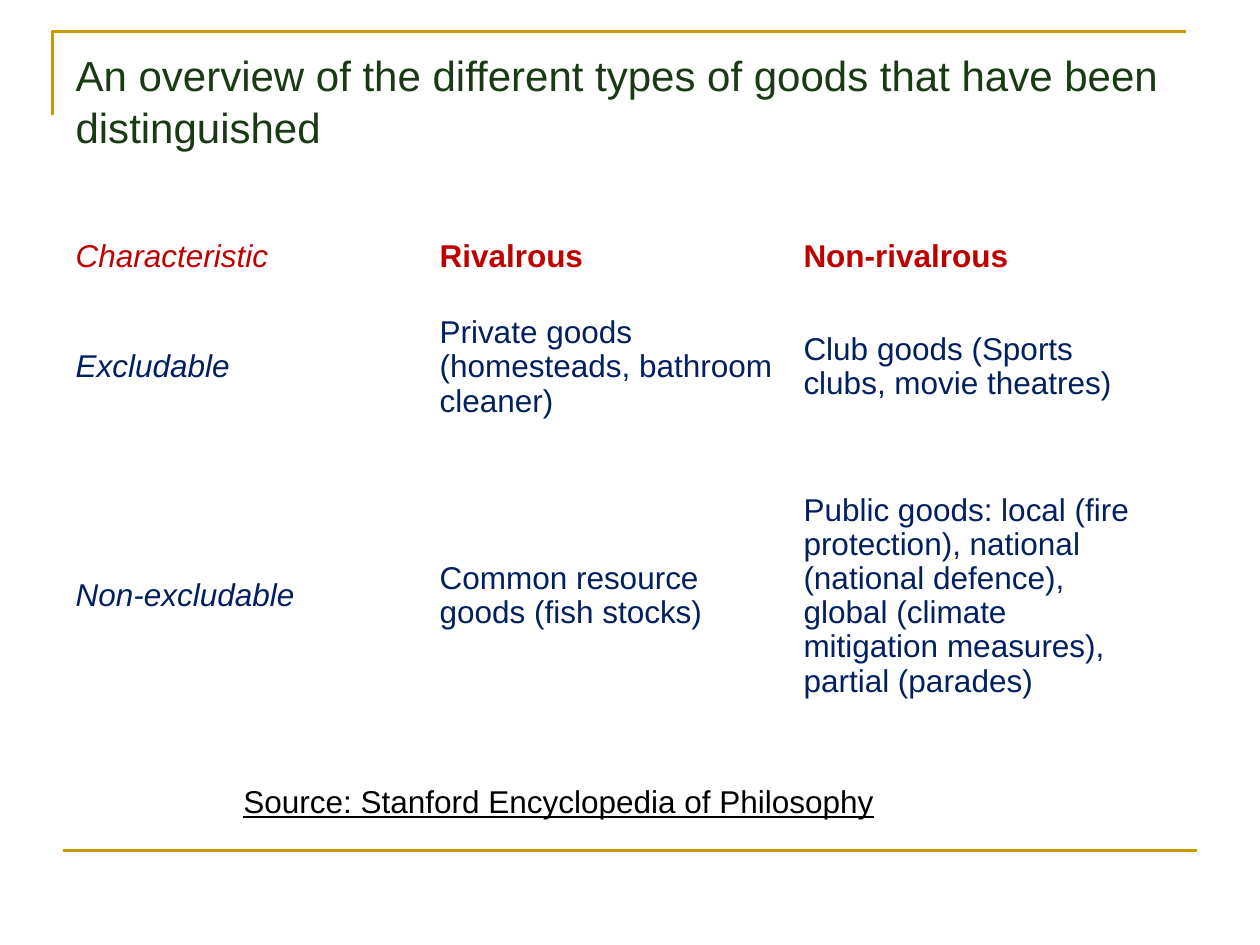
from dataclasses import dataclass

import pptx
import pptx.dml.color
import pptx.enum.shapes
import pptx.enum.text
import pptx.oxml.ns
import pptx.util
from lxml import etree

Pt = pptx.util.Pt
RGBColor = pptx.dml.color.RGBColor
ANCHOR = pptx.enum.text.MSO_ANCHOR


@dataclass(frozen=True)
class Theme:
    font: str = "Arial"
    title_size: int = 24
    body_size: int = 18
    title: str = "1A3A15"
    heading: str = "C00000"
    body: str = "002060"
    source: str = "000000"
    rule: str = "CC9900"
    rule_width: float = 1.5


@dataclass(frozen=True)
class GoodsRow:
    height: float
    characteristic: str
    rivalrous: str
    non_rivalrous: str
    is_heading: bool = False


THEME = Theme()
COLUMN_WIDTH = 208
ROWS = [
    GoodsRow(36, "Characteristic", "Rivalrous", "Non-rivalrous", is_heading=True),
    GoodsRow(90, "Excludable", "Private goods (homesteads, bathroom cleaner)",
             "Club goods (Sports clubs, movie theatres)"),
    GoodsRow(171.5, "Non-excludable", "Common resource goods (fish stocks)",
             "Public goods: local (fire protection), national (national defence), "
             "global (climate mitigation measures), partial (parades)"),
]


def write_text(text_frame, text: str, size: float, color: str, *, bold: bool = False,
               italic: bool = False, underline: bool = False, spacing: float = 1.0) -> None:
    text_frame.word_wrap = True
    paragraph = text_frame.paragraphs[0]
    paragraph.text = text
    paragraph.alignment = pptx.enum.text.PP_ALIGN.LEFT
    paragraph.line_spacing = spacing
    font = paragraph.font
    font.name, font.size = THEME.font, Pt(size)
    font.bold, font.italic, font.underline = bold, italic, underline
    font.color.rgb = RGBColor.from_string(color)


def style_rule(line) -> None:
    line.color.rgb = RGBColor.from_string(THEME.rule)
    line.width = Pt(THEME.rule_width)


def add_frame(slide) -> None:
    # Corner bracket around the title
    builder = slide.shapes.build_freeform(Pt(30), Pt(66))
    builder.add_line_segments([(Pt(30), Pt(18)), (Pt(678), Pt(18))], close=False)
    corner = builder.convert_to_shape()
    corner.shadow.inherit = False
    corner.fill.background()
    style_rule(corner.line)

    # Rule at the foot
    rule = slide.shapes.add_connector(
        pptx.enum.shapes.MSO_CONNECTOR.STRAIGHT, Pt(36), Pt(486), Pt(684), Pt(486))
    etree.SubElement(rule.element.spPr, pptx.oxml.ns.qn("a:effectLst"))
    style_rule(rule.line)


def add_title(slide, text: str) -> None:
    title = slide.shapes.title
    title.left, title.top, title.width, title.height = Pt(36), Pt(21.6), Pt(648), Pt(56)
    frame = title.text_frame
    frame.auto_size = pptx.enum.text.MSO_AUTO_SIZE.NONE
    frame.vertical_anchor = ANCHOR.TOP
    frame.margin_top = Pt(5)
    write_text(frame, text, THEME.title_size, THEME.title, spacing=1.05)


def add_goods_table(slide, rows: list[GoodsRow]) -> None:
    table = slide.shapes.add_table(
        len(rows), 3, Pt(36), Pt(129), Pt(3 * COLUMN_WIDTH),
        Pt(sum(row.height for row in rows))).table
    table.first_row = table.horz_banding = False
    for column in table.columns:
        column.width = Pt(COLUMN_WIDTH)
    for row_index, row in enumerate(rows):
        table.rows[row_index].height = Pt(row.height)
        texts = (row.characteristic, row.rivalrous, row.non_rivalrous)
        for column_index, text in enumerate(texts):
            cell = table.cell(row_index, column_index)
            cell.fill.background()
            cell.vertical_anchor = ANCHOR.MIDDLE
            is_label = column_index == 0
            write_text(cell.text_frame, text, THEME.body_size,
                       THEME.heading if row.is_heading else THEME.body,
                       bold=row.is_heading and not is_label, italic=is_label, spacing=0.97)


def add_source(slide, text: str) -> None:
    box = slide.shapes.add_textbox(Pt(132), Pt(443.5), Pt(474), Pt(29))
    write_text(box.text_frame, text, THEME.body_size, THEME.source, underline=True)


def main() -> None:
    presentation = pptx.Presentation()
    presentation.slide_width, presentation.slide_height = Pt(720), Pt(540)
    title_only = presentation.slide_layouts[5]
    slide = presentation.slides.add_slide(title_only)
    add_frame(slide)
    add_title(slide, "An overview of the different types of goods that have been distinguished")
    add_goods_table(slide, ROWS)
    add_source(slide, "Source: Stanford Encyclopedia of Philosophy")
    presentation.save("out.pptx")


if __name__ == "__main__":
    main()
